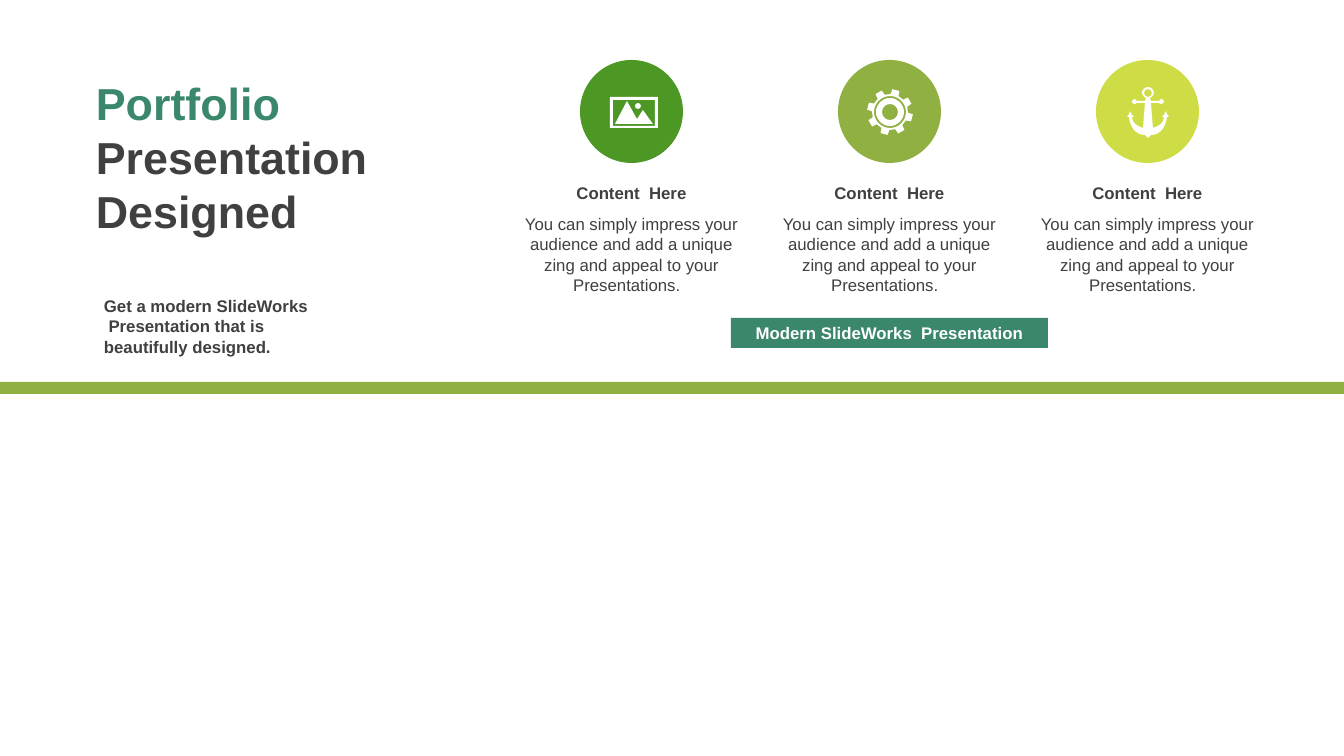
from math import cos, radians, sin

from lxml import etree
from pptx import Presentation
from pptx.dml.color import RGBColor
from pptx.enum.shapes import MSO_SHAPE as Preset
from pptx.enum.text import MSO_ANCHOR as Anchor, PP_ALIGN as Align
from pptx.oxml.ns import qn
from pptx.util import Emu, Pt

EMU_PER_PX = 914400 / 100.8
DARK, WHITE, TEAL, OLIVE = "404040", "FFFFFF", "3A876B", "90B141"
GREEN, LIME = "4D9724", "CEDD46"
BODY = "You can simply impress your audience and add a unique zing and appeal to your Presentations.  "


def px(length):
    return Emu(round(length * EMU_PER_PX))


def paint(shape, color):
    shape.shadow.inherit = False
    shape.fill.solid()
    shape.fill.fore_color.rgb = RGBColor.from_string(color)
    shape.line.fill.background()


def add_block(page, preset, box, color):
    shape = page.shapes.add_shape(preset, *map(px, box))
    paint(shape, color)
    return shape


def write(shape, text, size=12, colors=(DARK,), bold=False, align=Align.LEFT, anchor=Anchor.TOP):
    """Split paragraphs at newlines and lines at vertical tabs; the last colour serves the rest."""
    frame = shape.text_frame
    frame.word_wrap = True
    frame.vertical_anchor = anchor
    for number, words in enumerate(text.split("\n")):
        para = frame.add_paragraph() if number else frame.paragraphs[0]
        para.alignment = align
        for position, line in enumerate(words.split("\v")):
            if position:
                para.add_line_break()
            span = para.add_run()
            span.text = line
            span.font.name = "Arial"
            span.font.size = Pt(size)
            span.font.bold = bold
            span.font.color.rgb = RGBColor.from_string(colors[min(number, len(colors) - 1)])


def add_text(page, box, text, **style):
    write(page.shapes.add_textbox(*map(px, box)), text, **style)


# Outlines for the icons, in px around the icon centre: a start point, then
# straight (x, y) and cubic (x1, y1, x2, y2, x, y) segments
def ring(x, y, radius):
    handle = radius * 0.55
    quarters = [(1, 0), (0, 1), (-1, 0), (0, -1), (1, 0)]
    outline = [(x + radius, y)]
    for (ax, ay), (bx, by) in zip(quarters, quarters[1:]):
        outline.append((x + ax * radius + bx * handle, y + ay * radius + by * handle,
                        x + bx * radius + ax * handle, y + by * radius + ay * handle,
                        x + bx * radius, y + by * radius))
    return outline


def rectangle(left, top, right, bottom):
    return [(left, top), (right, top), (right, bottom), (left, bottom)]


def with_mirror(half):
    """Close a right-hand outline with its reflection in the vertical axis."""
    back = []
    for before, segment in zip(half[-2::-1], half[:0:-1]):
        end = (-before[-2], before[-1])
        if len(segment) == 6:
            x1, y1, x2, y2 = segment[:4]
            end = (-x2, y2, -x1, y1) + end
        back.append(end)
    return half + back


def photo_icon():
    peaks = [(-5, -11), (5, 7), (11, -2), (21, 12), (-17, 12)]
    return [rectangle(-22, -15, 26, 16), rectangle(-19, -12, 23, 14), peaks, ring(6, -6, 3)]


def gear_icon(teeth=8, tilt=15):
    corners = [(-13, 18), (-9, 23), (9, 23), (13, 18)]  # angle from tooth axis, radius
    outline = []
    for tooth in range(teeth):
        for offset, radius in corners:
            angle = radians(tilt + tooth * 360 / teeth + offset)
            outline.append((radius * sin(angle), -radius * cos(angle)))
    return [outline] + [ring(0, 0, radius) for radius in (16, 14, 8)]


def anchor_icon():
    half = [
        (0, -25), (3, -25, 6, -22, 6, -19), (6, -17, 4, -15, 2, -14),
        (3, -11), (11, -11),
        (12, -12, 12, -13, 13, -13), (15, -13, 16, -12, 16, -10),
        (16, -9, 15, -8, 13, -8), (12, -8, 12, -8, 11, -9),
        (3, -9), (5, 16),
        (11, 14, 16, 11, 16, 5), (16, 5, 15, 5, 14, 5),
        (16, 3, 17, 2, 18, -1), (18, 2, 20, 3, 21, 5),
        (20, 5, 19, 5, 19, 5), (18, 14, 13, 23, 3, 23), (1, 25, 1, 25, 0, 26),
    ]
    return [with_mirror(half), ring(0, -19, 4)]


def add_icon(page, center_x, center_y, outlines):
    builder = None
    for outline in outlines:
        ends = [(px(center_x + x), px(center_y + y)) for *_, x, y in outline]
        if builder is None:
            builder = page.shapes.build_freeform(*ends[0], scale=1.0)
        else:
            builder.move_to(*ends[0])
        builder.add_line_segments(ends[1:], close=True)
    icon = builder.convert_to_shape()
    paint(icon, WHITE)
    # Bend the cubic segments
    segments = [segment for outline in outlines for segment in outline[1:]]
    lines = list(icon._element.iter(qn("a:lnTo")))
    for line, segment in zip(lines, segments):
        if len(segment) == 6:
            line.tag = qn("a:cubicBezTo")
            for place in (0, 1):
                x, y = segment[2 * place:2 * place + 2]
                line.insert(place, etree.Element(qn("a:pt"), x=str(px(center_x + x) - icon.left),
                                                 y=str(px(center_y + y) - icon.top)))


# Regions of the page
def add_heading(page, left, top):
    add_text(page, (left, top, 307, 173), "Portfolio\nPresentation Designed",
             size=32, colors=(TEAL, DARK), bold=True)
    add_text(page, (left + 8, top + 220, 230, 72),
             "Get a modern SlideWorks\v Presentation that is beautifully designed.", bold=True)


def add_feature(page, left, top, width, color, outlines):
    disc = 103
    add_block(page, Preset.OVAL, (left + (width - disc) // 2, top, disc, disc), color)
    add_icon(page, left + width // 2 + 1, top + disc // 2 + 1, outlines)
    add_text(page, (left, top + 118, width, 30), "Content  Here", bold=True, align=Align.CENTER)
    add_text(page, (left, top + 149, width, 92), BODY, align=Align.CENTER)


def add_features(page, left, top):
    width, step = 249, 258
    columns = [(GREEN, photo_icon()), (OLIVE, gear_icon()), (LIME, anchor_icon())]
    for number, (color, outlines) in enumerate(columns):
        add_feature(page, left + number * step, top, width, color, outlines)
    banner = add_block(page, Preset.RECTANGLE, (left + 224, top + 258, 317, 30), TEAL)
    write(banner, "Modern SlideWorks  Presentation", colors=(WHITE,), bold=True,
          align=Align.CENTER, anchor=Anchor.MIDDLE)


def main():
    deck = Presentation()
    deck.slide_width, deck.slide_height = px(1344), px(756)
    page = deck.slides.add_slide(deck.slide_layouts[6])
    add_block(page, Preset.RECTANGLE, (0, 382, 1344, 12), OLIVE)
    add_heading(page, 86, 71)
    add_features(page, 507, 60)
    deck.save("out.pptx")


if __name__ == "__main__":
    main()
